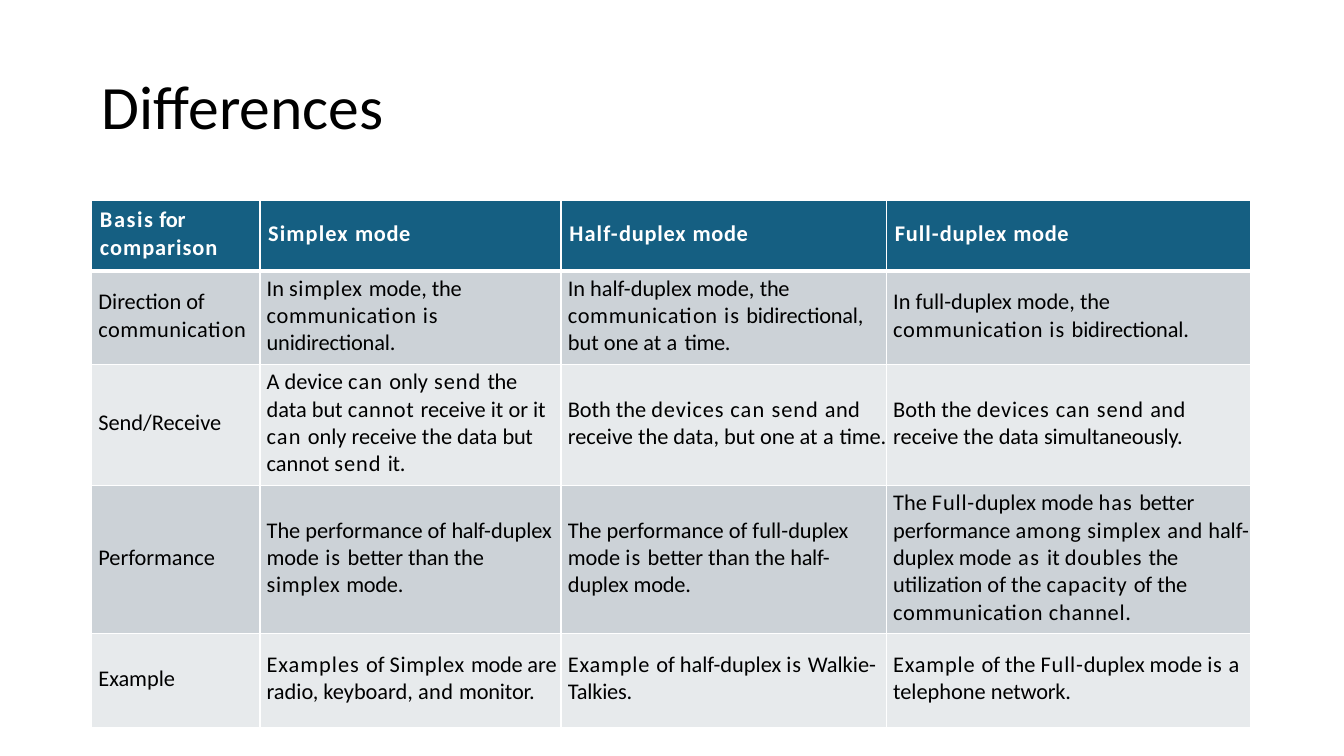
from lxml.etree import SubElement
from pptx import Presentation
from pptx.dml.color import RGBColor
from pptx.enum.text import MSO_ANCHOR, PP_ALIGN
from pptx.oxml.ns import qn
from pptx.util import Cm, Pt

COLS = [4.24, 7.59, 8.2, 9.17]
ROWS = [1.78, 2.36, 3.05, 3.73, 2.36]

# Runs are split by "|"; a number before "~" is the letter spacing in points.
CELLS = [
    ["1.1~Basis|-.2~ for |.7~comparison",
     ".8~Simplex |.5~mode",
     ".8~Half-|.6~duplex |.5~mode",
     ".7~Full-|.6~duplex |.5~mode"],
    ["Direction |-.2~of\n.4~communication",
     "In |.5~simplex |mode, |-.2~the |.5~communication |.6~is |-.1~unidirectional.",
     "In half-duplex mode, |-.2~the |.5~communication |.8~is |-.1~bidirectional, "
     "|but one at |.8~a |-.2~time.",
     "In full-duplex mode, |-.2~the\n.5~communication |.8~is |-.1~bidirectional."],
    ["Send/Receive",
     "A device |.8~can |only|.7~ send |-.2~the |data but |.5~cannot |receive it or "
     "|-.2~it |.8~can |only receive the data |-.2~but |cannot |.7~send |-.2~it.",
     "Both the |.6~devices |.8~can |.7~send |.3~and |receive the data, but one at "
     "|.3~a |-.1~time.",
     "Both the |.6~devices |.8~can |.7~send |.3~and |receive the data "
     "|-.1~simultaneously."],
    ["Performance",
     "The performance of |-.2~half-|duplex mode|.8~ is |better |-.2~than |the "
     "|.5~simplex |-.2~mode.",
     "The performance of full-|-.1~duplex |mode |.8~is |better than the |-.2~half-"
     "|duplex |-.1~mode.",
     "The |.6~Full-|duplex mode |.8~has |-.1~better |performance |.5~among simplex "
     "|.3~and |half-duplex mode|1.1~ as |it |.6~doubles |-.2~the |utilization of the "
     "|.6~capacity |of |-.2~the |.5~communication channel."],
    ["Example",
     ".7~Examples |of |.5~Simplex |-.2~mode |are radio, keyboard, |.3~and "
     "|-.1~monitor.",
     ".6~Example |of half-duplex |.6~is |Walkie-|-.1~Talkies.",
     ".6~Example |of the |.6~Full-|duplex mode |.6~is |.8~a |telephone "
     "|-.1~network."],
]


def color(text):
    return RGBColor.from_string(text)


class Deck:
    font = "Calibri"
    ink, white = "000000", "FFFFFF"
    head, bands = "155F82", ("E7EAEC", "CCD2D7")

    def __init__(self):
        self.prs = Presentation()
        self.prs.slide_width, self.prs.slide_height = Cm(33.87), Cm(19.05)
        self.slide = self.prs.slides.add_slide(self.prs.slide_layouts[5])

    def style(self, run, size, ink, space=0, bold=False):
        run.font.name, run.font.size, run.font.bold = self.font, Pt(size), bold
        run.font.color.rgb = color(ink)
        run.font._element.set("spc", str(round(space * 100)))

    def title(self, text):
        shape = self.slide.shapes.title
        shape.left, shape.top = Cm(2.54), Cm(1.68)
        shape.width, shape.height = Cm(28.65), Cm(1.93)
        frame = shape.text_frame
        frame.text = text
        frame.vertical_anchor = MSO_ANCHOR.TOP
        frame.margin_left = frame.margin_top = Cm(0.03)
        frame.margin_right = frame.margin_bottom = 0
        para = frame.paragraphs[0]
        para.alignment = PP_ALIGN.LEFT
        self.style(para.runs[0], 44, self.ink, -0.1)

    def border(self, cell, row):
        """Draw white edges, thick between header and body."""
        props = cell._tc.get_or_add_tcPr()
        thick = {"lnB": 0, "lnT": 1}
        for spot, side in enumerate(("lnL", "lnR", "lnT", "lnB")):
            width = Pt(3 if thick.get(side) == row else 1)
            line = SubElement(props, qn("a:" + side), w=str(width))
            fill = SubElement(line, qn("a:solidFill"))
            SubElement(fill, qn("a:srgbClr"), val=self.white)
            props.insert(spot, line)

    def cell(self, cell, text, row):
        top = row == 0
        cell.fill.solid()
        cell.fill.fore_color.rgb = color(self.head if top else self.bands[row % 2])
        self.border(cell, row)
        cell.vertical_anchor = MSO_ANCHOR.MIDDLE
        cell.margin_left = Cm(0.21 if top else 0.17)
        cell.margin_right = cell.margin_top = 0
        cell.margin_bottom = Cm(0.1)
        frame = cell.text_frame
        for spot, line in enumerate(text.split("\n")):
            para = frame.add_paragraph() if spot else frame.paragraphs[0]
            for part in line.split("|"):
                space, _, words = part.rpartition("~")
                run = para.add_run()
                run.text = words
                self.style(run, 16, self.white if top else self.ink,
                           float(space or 0), top)

    def table(self, left, top, cols, rows, cells):
        grid = self.slide.shapes.add_table(
            len(rows), len(cols), Cm(left), Cm(top), Cm(sum(cols)), Cm(sum(rows))).table
        for col, width in zip(grid.columns, cols):
            col.width = Cm(width)
        for row, height in enumerate(rows):
            grid.rows[row].height = Cm(height)
            for col, text in enumerate(cells[row]):
                self.cell(grid.cell(row, col), text, row)


def main():
    deck = Deck()
    deck.title("Differences")
    deck.table(2.31, 5.05, COLS, ROWS, CELLS)
    deck.prs.save("out.pptx")


if __name__ == "__main__":
    main()
